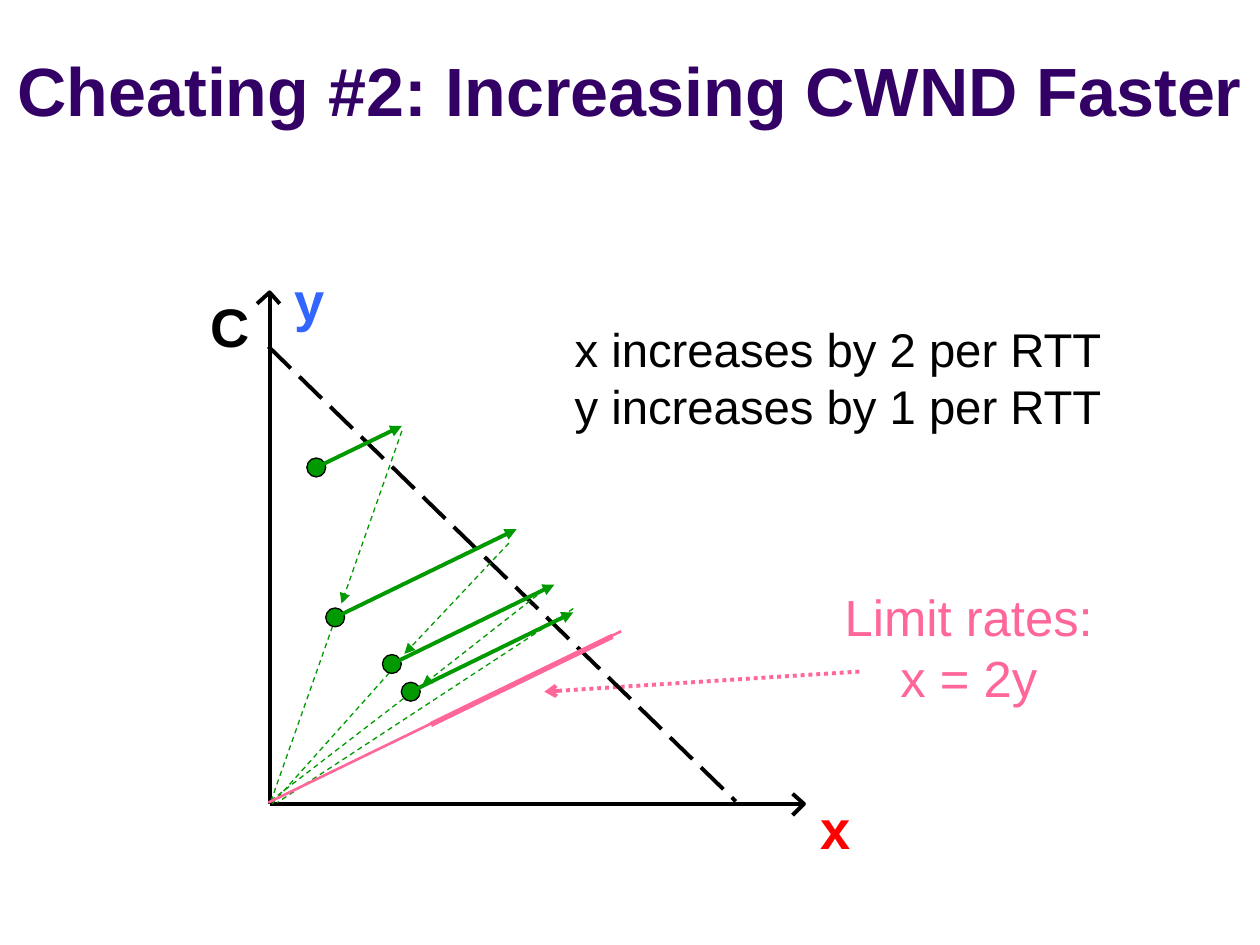
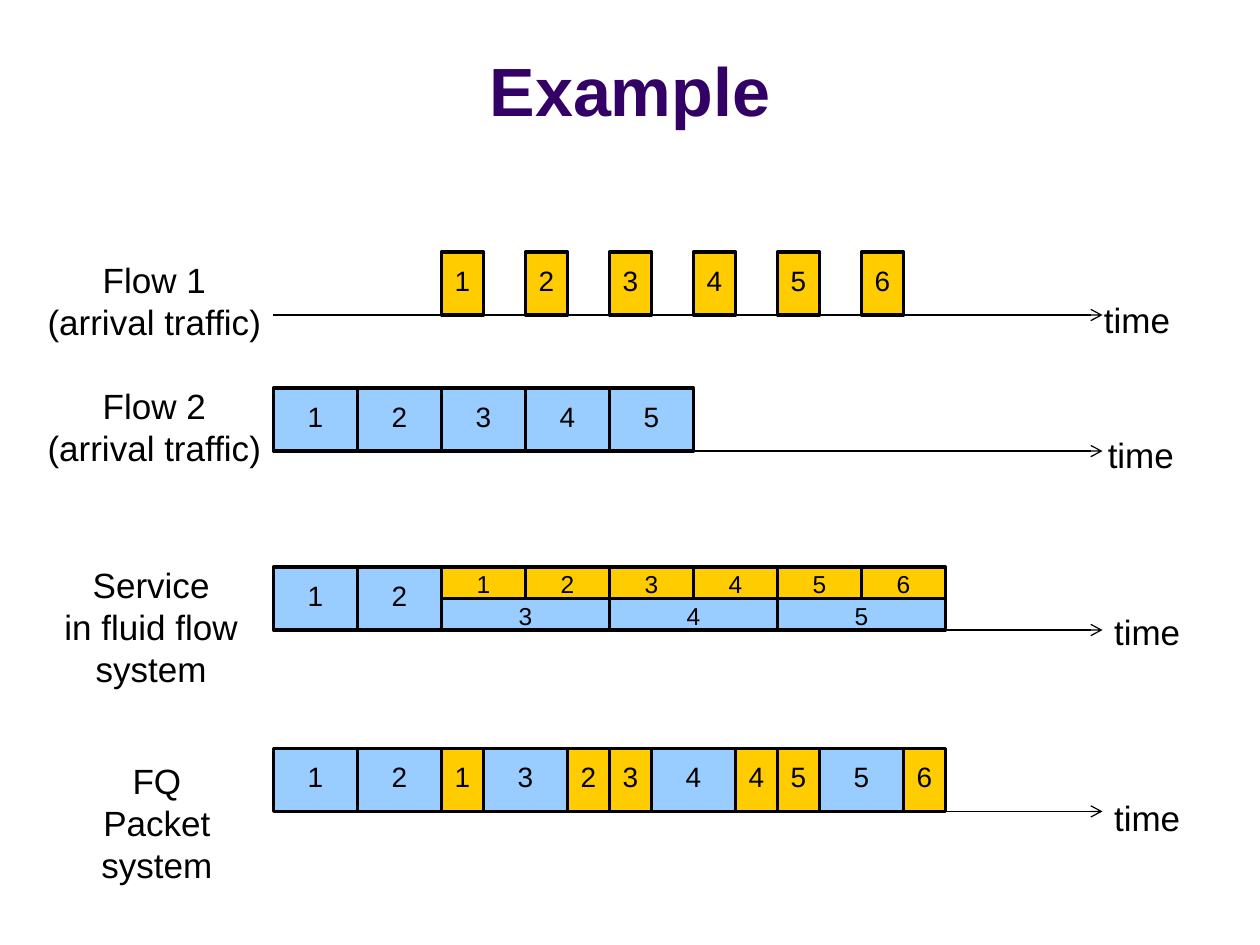
from dataclasses import dataclass

from lxml.etree import SubElement
from pptx import Presentation
from pptx.dml.color import RGBColor
from pptx.enum.dml import MSO_LINE as Dash
from pptx.enum.shapes import MSO_CONNECTOR as Connector, MSO_SHAPE as Shape
from pptx.enum.text import MSO_ANCHOR as Anchor, MSO_AUTO_SIZE as Fit, PP_ALIGN as Align
from pptx.oxml.ns import qn
from pptx.util import Inches, Pt


@dataclass(frozen=True)
class Theme:
    font: str = "Arial"
    title: str = "330066"
    ink: str = "000000"
    paper: str = "FFFFFF"
    green: str = "009900"
    pink: str = "FF6699"
    red: str = "FF0000"
    blue: str = "3366FF"
    flow_one: str = "FFCC00"
    flow_two: str = "99CCFF"
    title_size: int = 39
    axis_size: int = 31
    limit_size: int = 29
    note_size: int = 27
    label_size: int = 20
    packet_size: int = 16
    half_packet_size: int = 14


THEME = Theme()


def color(code):
    return RGBColor.from_string(code)


def write(frame, text, size=THEME.label_size, ink=THEME.ink, bold=False,
          align=Align.CENTER, anchor=Anchor.TOP, insets=(0.1, 0.05, 0.1, 0.05), wrap=False):
    frame.word_wrap = wrap
    frame.vertical_anchor = anchor
    frame.margin_left, frame.margin_top, frame.margin_right, frame.margin_bottom = map(Inches, insets)
    for index, line in enumerate(text.split("\n")):
        para = frame.paragraphs[0] if index == 0 else frame.add_paragraph()
        para.alignment = align
        span = para.add_run()
        span.text = line
        span.font.name = THEME.font
        span.font.size = Pt(size)
        span.font.bold = bold
        span.font.color.rgb = color(ink)


class Painter:
    def __init__(self, deck, theme):
        self.deck = deck
        self.theme = theme
        self.page = None

    def start(self, title):
        self.page = self.deck.slides.add_slide(self.deck.slide_layouts[6])
        box = self.page.shapes.add_textbox(*map(Inches, (0, 0.13, 10, 0.95)))
        write(box.text_frame, title, size=self.theme.title_size, ink=self.theme.title,
              bold=True, anchor=Anchor.BOTTOM, insets=(0, 0.05, 0, 0.05), wrap=True)

    def text(self, text, at, fill=None, **style):
        box = self.page.shapes.add_textbox(*map(Inches, at))
        write(box.text_frame, text, **style)
        box.text_frame.auto_size = Fit.SHAPE_TO_FIT_TEXT
        if fill:
            box.fill.solid()
            box.fill.fore_color.rgb = color(fill)

    def line(self, start, end, ink, width, dash=None, tail=None):
        line = self.page.shapes.add_connector(Connector.STRAIGHT, *map(Inches, (*start, *end)))
        line.line.color.rgb = color(ink)
        line.line.width = Pt(width)
        if dash:
            line.line.dash_style = dash
        if tail:
            SubElement(line.line._get_or_add_ln(), qn("a:tailEnd"), type=tail)
        SubElement(line._element.spPr, qn("a:effectLst"))

    def outline(self, points, ink, width):
        first, *rest = [tuple(map(Inches, point)) for point in points]
        builder = self.page.shapes.build_freeform(*first)
        builder.add_line_segments(rest, close=False)
        shape = builder.convert_to_shape()
        shape.shadow.inherit = False
        shape.fill.background()
        shape.line.color.rgb = color(ink)
        shape.line.width = Pt(width)

    def shape(self, kind, at, fill, width):
        shape = self.page.shapes.add_shape(kind, *map(Inches, at))
        shape.shadow.inherit = False
        shape.fill.solid()
        shape.fill.fore_color.rgb = color(fill)
        shape.line.color.rgb = color(self.theme.ink)
        shape.line.width = Pt(width)
        return shape

    def dot(self, center, size=0.15):
        left, top = (value - size / 2 for value in center)
        self.shape(Shape.OVAL, (left, top, size, size), self.theme.green, 0.75)

    def packet(self, label, at, fill, size, insets):
        box = self.shape(Shape.RECTANGLE, at, fill, 2)
        write(box.text_frame, label, size=size, anchor=Anchor.MIDDLE, insets=insets)


def draw_cheating(painter):
    theme = painter.theme
    painter.start("Cheating #2: Increasing CWND Faster")
    flush = dict(insets=(0.09, 0.04, 0.09, 0.04))
    painter.text("Limit rates:\nx = 2y", (6.29, 4.61, 2.8, 1.06), fill=theme.paper,
                 size=theme.limit_size, ink=theme.pink, wrap=True, **flush)
    painter.line((6.82, 5.33), (4.32, 5.49), theme.pink, 2.25, Dash.ROUND_DOT, "arrow")

    corner = (2.14, 6.38)
    axes = [
        ((2.14, 2.32), [(2.22, 2.41), (2.14, 2.32), (2.04, 2.41)]),
        ((6.38, 6.38), [(6.29, 6.47), (6.38, 6.38), (6.29, 6.3)]),
    ]
    for tip, head in axes:
        painter.line(corner, tip, theme.ink, 2.25)
        painter.outline(head, theme.ink, 2.25)

    for name, left, top, width, ink in [("C", 1.67, 2.33, 0.31, theme.ink),
                                        ("x", 6.51, 6.31, 0.24, theme.red),
                                        ("y", 2.34, 2.12, 0.24, theme.blue)]:
        painter.text(name, (left, top, width, 0.52), size=theme.axis_size, ink=ink,
                     bold=True, align=Align.LEFT, insets=(0, 0, 0, 0))
    painter.text("x increases by 2 per RTT\ny increases by 1 per RTT", (4.47, 2.5, 4.4, 1),
                 size=theme.note_size, align=Align.LEFT, **flush)
    painter.line((2.13, 2.75), (5.84, 6.36), theme.ink, 2.25, Dash.LONG_DASH)

    rays = [((2.64, 4.97), (2.15, 6.36)), ((3.09, 5.34), (2.16, 6.38)),
            ((3.26, 5.5), (2.13, 6.37)), ((4.55, 4.83), (2.2, 6.37))]
    for start, end in rays:
        painter.line(start, end, theme.green, 0.75, Dash.DASH)
    backoffs = [((3.19, 3.42), (2.71, 4.79)), ((4.04, 4.31), (3.21, 5.19)),
                ((4.32, 4.68), (3.35, 5.44))]
    for start, end in backoffs:
        painter.line(start, end, theme.green, 0.75, Dash.DASH, "triangle")
    increases = [((2.51, 3.71), (3.19, 3.38)), ((2.66, 4.9), (4.1, 4.2)),
                 ((3.11, 5.27), (4.4, 4.64)), ((3.26, 5.49), (4.55, 4.86))]
    for start, end in increases:
        painter.dot(start)
        painter.line(start, end, theme.green, 2.25, tail="triangle")

    painter.line((2.13, 6.37), (4.93, 5.01), theme.pink, 1.5)
    painter.line((3.42, 5.75), (4.86, 5.05), theme.pink, 3)


def draw_example(painter):
    theme = painter.theme
    origin, slot, height = 2.17, 1 / 3, 0.5
    one, two = theme.flow_one, theme.flow_two
    flow_one_row, flow_two_row, fluid_row, packet_row = 2, 3.08, 4.5, 5.94
    painter.start("Example")

    for row in (flow_one_row, flow_two_row, fluid_row, packet_row):
        painter.line((origin, row + height), (8.75, row + height), theme.ink, 0.75, tail="arrow")

    def full(label, row, start, slots, fill):
        painter.packet(label, (origin + start * slot, row, slots * slot, height), fill,
                       theme.packet_size, (0, 0, 0, 0.05))

    def half(label, row, start, slots, fill):
        painter.packet(label, (origin + start * slot, row, slots * slot, height / 2), fill,
                       theme.half_packet_size, (0, 0.02, 0, 0))

    for index in range(6):
        full(str(index + 1), flow_one_row, 4 + 2 * index, 1, one)
        half(str(index + 1), fluid_row, 4 + 2 * index, 2, one)
    for index in range(5):
        full(str(index + 1), flow_two_row, 2 * index, 2, two)
    for index in range(2):
        full(str(index + 1), fluid_row, 2 * index, 2, two)
    for index in range(3):
        half(str(index + 3), fluid_row + height / 2, 4 + 4 * index, 4, two)

    start = 0
    for label, slots in [("1", 2), ("2", 2), ("1", 1), ("3", 2), ("2", 1), ("3", 1),
                         ("4", 2), ("4", 1), ("5", 1), ("5", 2), ("6", 1)]:
        full(label, packet_row, start, slots, one if slots == 1 else two)
        start += slots

    for label, at in [("Flow 1\n(arrival traffic)", (0.27, 2, 1.91, 0.77)),
                      ("Flow 2\n(arrival traffic)", (0.27, 3, 1.91, 0.77)),
                      ("Service\nin fluid flow\nsystem", (0.4, 4.42, 1.6, 1.11)),
                      ("FQ\nPacket\nsystem", (0.7, 5.98, 1.09, 1.11))]:
        painter.text(label, at)
    for left, top in [(8.66, 2.32), (8.69, 3.39), (8.74, 4.8), (8.74, 6.27)]:
        painter.text("time", (left, top, 0.73, 0.43))


deck = Presentation()
deck.slide_width, deck.slide_height = Inches(10), Inches(7.5)
painter = Painter(deck, THEME)
draw_cheating(painter)
draw_example(painter)
deck.save("out.pptx")
